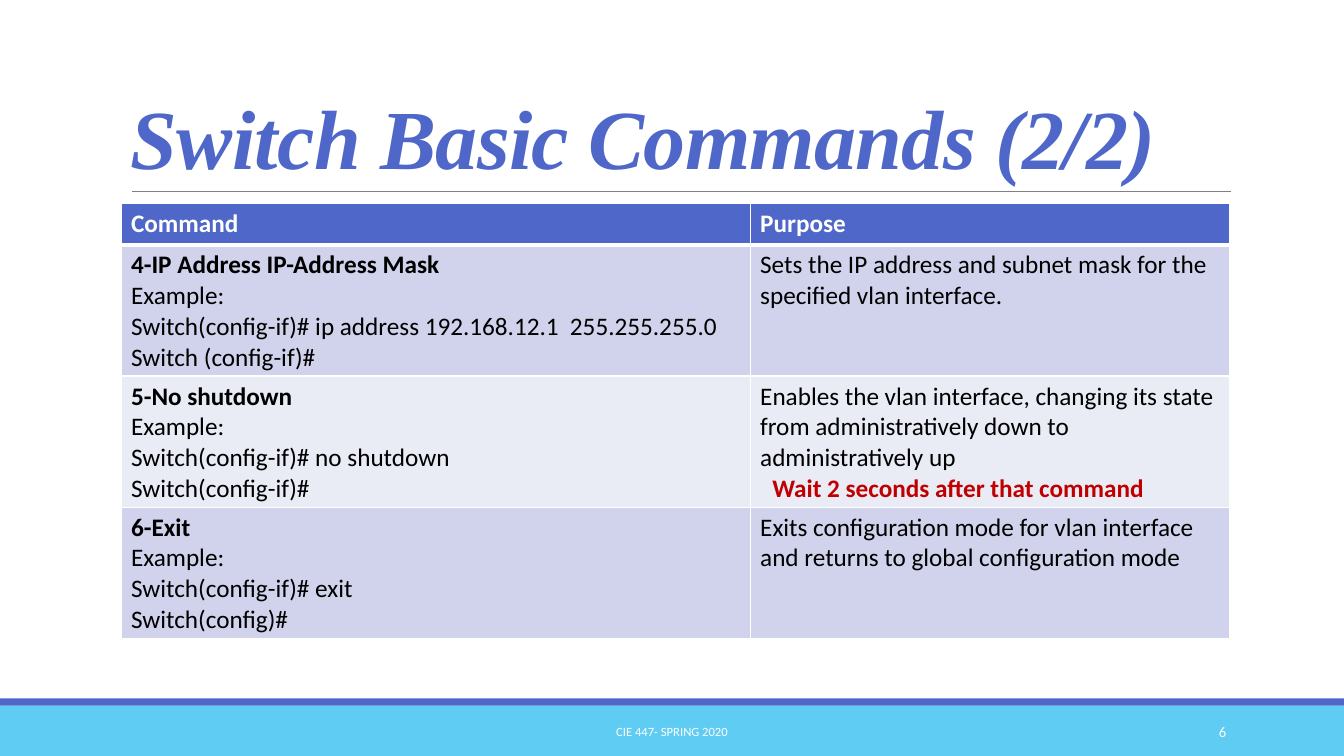
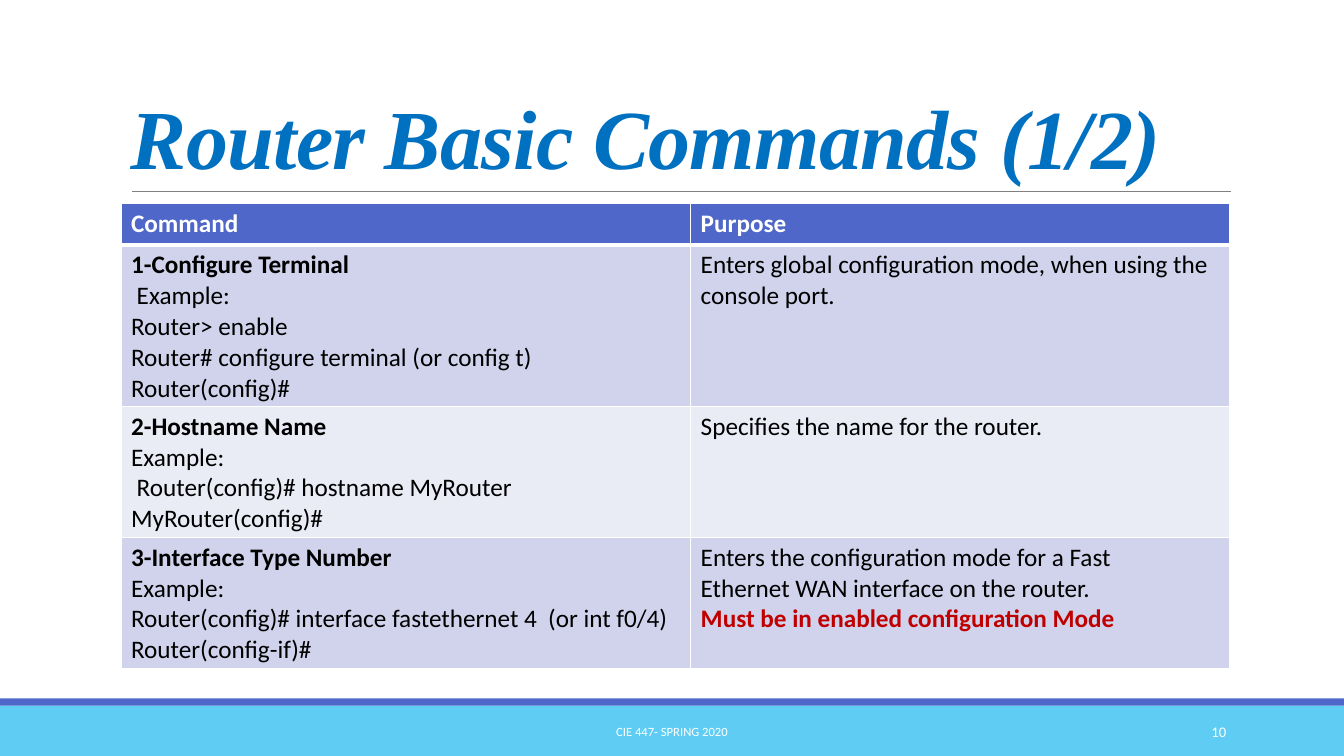
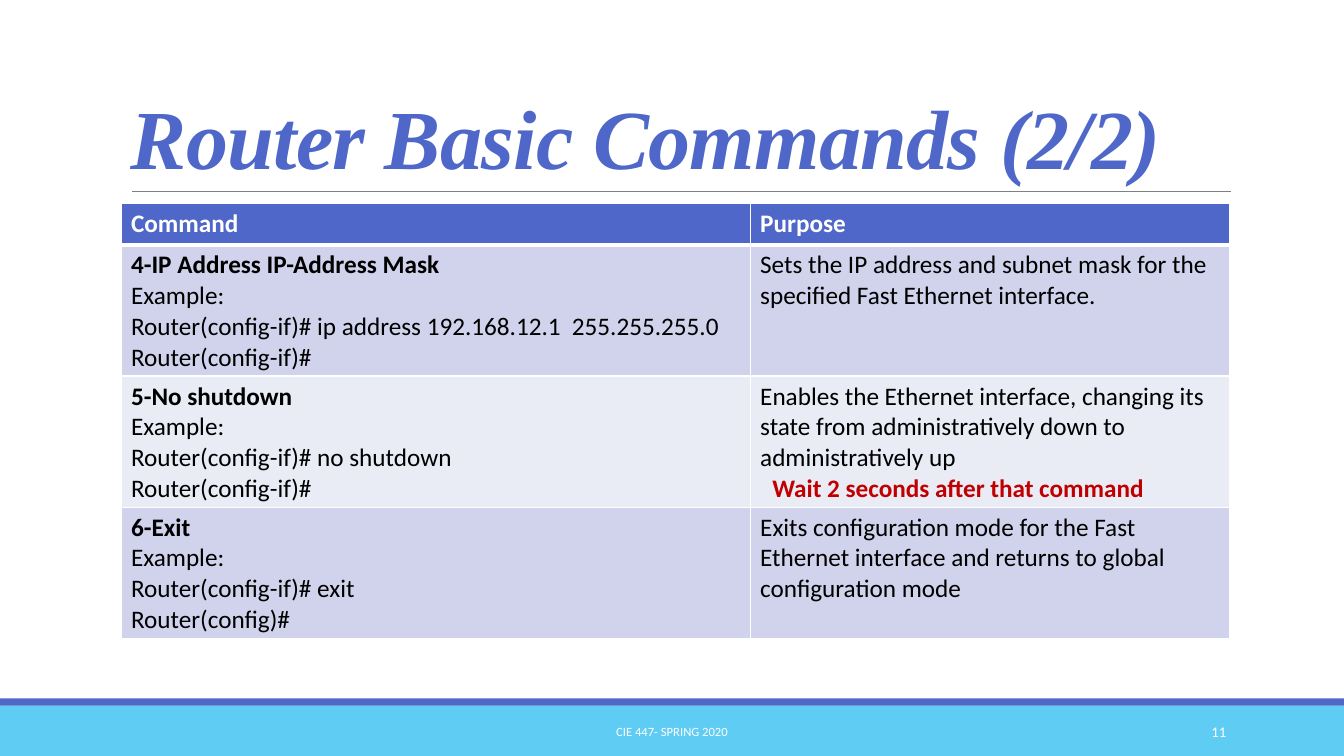
import pptx
import pptx.dml.color
import pptx.enum.shapes
import pptx.enum.text
import pptx.oxml
import pptx.oxml.ns
import pptx.util

SCALE = 9144
SLIDE_WIDTH, SLIDE_HEIGHT = 1333, 750
TABLE_LEFT, TABLE_TOP, TABLE_WIDTH = 120, 202, 1100
HEADER_HEIGHT, LINE_HEIGHT, CELL_PADDING = 41, 30, 10
COLOURS = {
    "indigo": "4E67C8",
    "sky": "5ECCF3",
    "blue": "0070C0",
    "rule": "808080",
    "odd row": "D0D3EB",
    "even row": "E9EBF5",
    "warning": "C00000",
    "black": "000000",
    "white": "FFFFFF",
}
ALIGN = pptx.enum.text.PP_ALIGN
ANCHOR = pptx.enum.text.MSO_ANCHOR
WAIT = ("Wait 2 seconds after that command", 12)

SLIDES = [
    {
        "title": "Switch Basic Commands (2/2)",
        "title_colour": "indigo",
        "number": "6",
        "command_width": 624,
        "commands": [
            (["4-IP Address IP-Address Mask", "Example:",
              "Switch(config-if)# ip address 192.168.12.1  255.255.255.0",
              "Switch (config-if)#"],
             ["Sets the IP address and subnet mask for the specified vlan interface."], None),
            (["5-No shutdown", "Example:", "Switch(config-if)# no shutdown",
              "Switch(config-if)#"],
             ["Enables the vlan interface, changing its state from administratively "
              "down to administratively up"], WAIT),
            (["6-Exit", "Example:", "Switch(config-if)# exit", "Switch(config)#"],
             ["Exits configuration mode for vlan interface and returns to global "
              "configuration mode"], None),
        ],
    },
    {
        "title": "Router Basic Commands (1/2)",
        "title_colour": "blue",
        "number": "10",
        "command_width": 565,
        "commands": [
            (["1-Configure Terminal", " Example:", "Router> enable",
              "Router# configure terminal (or config t)", "Router(config)#"],
             ["Enters global configuration mode, when using the console port."], None),
            (["2-Hostname Name", "Example:", " Router(config)# hostname MyRouter",
              "MyRouter(config)#"],
             ["Specifies the name for the router."], None),
            (["3-Interface Type Number", "Example:",
              "Router(config)# interface fastethernet 4  (or int f0/4)",
              "Router(config-if)#"],
             ["Enters the configuration mode for a Fast",
              "Ethernet WAN interface on the router."],
             ("Must be in enabled configuration Mode", 0)),
        ],
    },
    {
        "title": "Router Basic Commands (2/2)",
        "title_colour": "indigo",
        "number": "11",
        "command_width": 624,
        "commands": [
            (["4-IP Address IP-Address Mask", "Example:",
              "Router(config-if)# ip address 192.168.12.1  255.255.255.0",
              "Router(config-if)#"],
             ["Sets the IP address and subnet mask for the specified Fast Ethernet "
              "interface."], None),
            (["5-No shutdown", "Example:", "Router(config-if)# no shutdown",
              "Router(config-if)#"],
             ["Enables the Ethernet interface, changing its state from "
              "administratively down to administratively up"], WAIT),
            (["6-Exit", "Example:", "Router(config-if)# exit", "Router(config)#"],
             ["Exits configuration mode for the Fast Ethernet interface and returns "
              "to global configuration mode"], None),
        ],
    },
]


def px(length):
    return pptx.util.Emu(length * SCALE)


def rgb(colour):
    return pptx.dml.color.RGBColor.from_string(COLOURS[colour])


def write(frame, text, size=18, colour="black", font="Calibri", bold=False, italic=False,
          align=ALIGN.LEFT, line_spacing=None, tracking=None, indent=0):
    paragraph = frame.paragraphs[0] if not frame.text else frame.add_paragraph()
    paragraph.alignment = align
    if line_spacing:
        paragraph.line_spacing = line_spacing
    if indent:
        paragraph._p.get_or_add_pPr().set("marL", str(px(indent)))
    run = paragraph.add_run()
    run.text = text
    run.font.name = font
    run.font.size = pptx.util.Pt(size)
    run.font.bold = bold
    run.font.italic = italic
    run.font.color.rgb = rgb(colour)
    if tracking:
        run.font._element.set("spc", str(tracking))


def add_text(slide, left, top, width, height, text, anchor=ANCHOR.MIDDLE, **style):
    frame = slide.shapes.add_textbox(px(left), px(top), px(width), px(height)).text_frame
    frame.word_wrap = True
    frame.vertical_anchor = anchor
    write(frame, text, **style)


def add_band(slide, top, height, colour):
    band = slide.shapes.add_shape(pptx.enum.shapes.MSO_SHAPE.RECTANGLE,
                                  0, px(top), px(SLIDE_WIDTH), px(height))
    band.shadow.inherit = False
    band.fill.solid()
    band.fill.fore_color.rgb = rgb(colour)
    band.line.fill.background()


def add_rule(slide, left, right, top):
    rule = slide.shapes.add_connector(pptx.enum.shapes.MSO_CONNECTOR.STRAIGHT,
                                      px(left), px(top), px(right), px(top))
    rule.line.color.rgb = rgb("rule")
    rule.line.width = pptx.util.Pt(0.5)
    rule._element.spPr.append(pptx.oxml.parse_xml(
        f"<a:effectLst {pptx.oxml.ns.nsdecls('a')}/>"))


def style_cell(cell, fill, top=1, bottom=1):
    properties = cell._tc.get_or_add_tcPr()
    for side, points in (("L", 1), ("R", 1), ("T", top), ("B", bottom)):
        properties.append(pptx.oxml.parse_xml(
            f"<a:ln{side} {pptx.oxml.ns.nsdecls('a')} w='{pptx.util.Pt(points)}'>"
            f"<a:solidFill><a:srgbClr val='{COLOURS['white']}'/></a:solidFill></a:ln{side}>"))
    cell.fill.solid()
    cell.fill.fore_color.rgb = rgb(fill)


def add_command_table(slide, command_width, commands):
    heights = [HEADER_HEIGHT] + [CELL_PADDING + LINE_HEIGHT * len(lines)
                                 for lines, _, _ in commands]
    table = slide.shapes.add_table(len(heights), 2, px(TABLE_LEFT), px(TABLE_TOP),
                                   px(TABLE_WIDTH), px(sum(heights))).table
    table.horz_banding = False
    for column, width in zip(table.columns, (command_width, TABLE_WIDTH - command_width)):
        column.width = px(width)
    for row, height in zip(table.rows, heights):
        row.height = px(height)

    for column, heading in enumerate(("Command", "Purpose")):
        header = table.cell(0, column)
        style_cell(header, "indigo", bottom=3)
        write(header.text_frame, heading, colour="white", bold=True)

    for row, (lines, purposes, warning) in enumerate(commands, 1):
        command, purpose = table.cell(row, 0), table.cell(row, 1)
        for cell in (command, purpose):
            style_cell(cell, "odd row" if row % 2 else "even row", top=3 if row == 1 else 1)
        for index, line in enumerate(lines):
            write(command.text_frame, line, bold=index == 0)
        for sentence in purposes:
            write(purpose.text_frame, sentence)
        if warning:
            text, indent = warning
            write(purpose.text_frame, text, colour="warning", bold=True, indent=indent)


def add_frame(slide, title, title_colour, number):
    add_band(slide, 700, 50, "sky")
    add_band(slide, 693, 7, "indigo")
    add_rule(slide, 131, 1221, 190)
    add_text(slide, 120, 31, 1100, 159, title, anchor=ANCHOR.BOTTOM, size=60,
             colour=title_colour, font="Times New Roman", bold=True, italic=True,
             line_spacing=0.85, tracking=-50)
    add_text(slide, 403, 706, 527, 40, "CIE 447- SPRING 2020", size=9, colour="white",
             align=ALIGN.CENTER)
    add_text(slide, 1083, 706, 143, 40, number, size=10.5, colour="white", align=ALIGN.RIGHT)


def main():
    deck = pptx.Presentation()
    deck.slide_width, deck.slide_height = px(SLIDE_WIDTH), px(SLIDE_HEIGHT)
    for content in SLIDES:
        slide = deck.slides.add_slide(deck.slide_layouts[6])
        add_frame(slide, content["title"], content["title_colour"], content["number"])
        add_command_table(slide, content["command_width"], content["commands"])
    deck.save("out.pptx")


if __name__ == "__main__":
    main()
